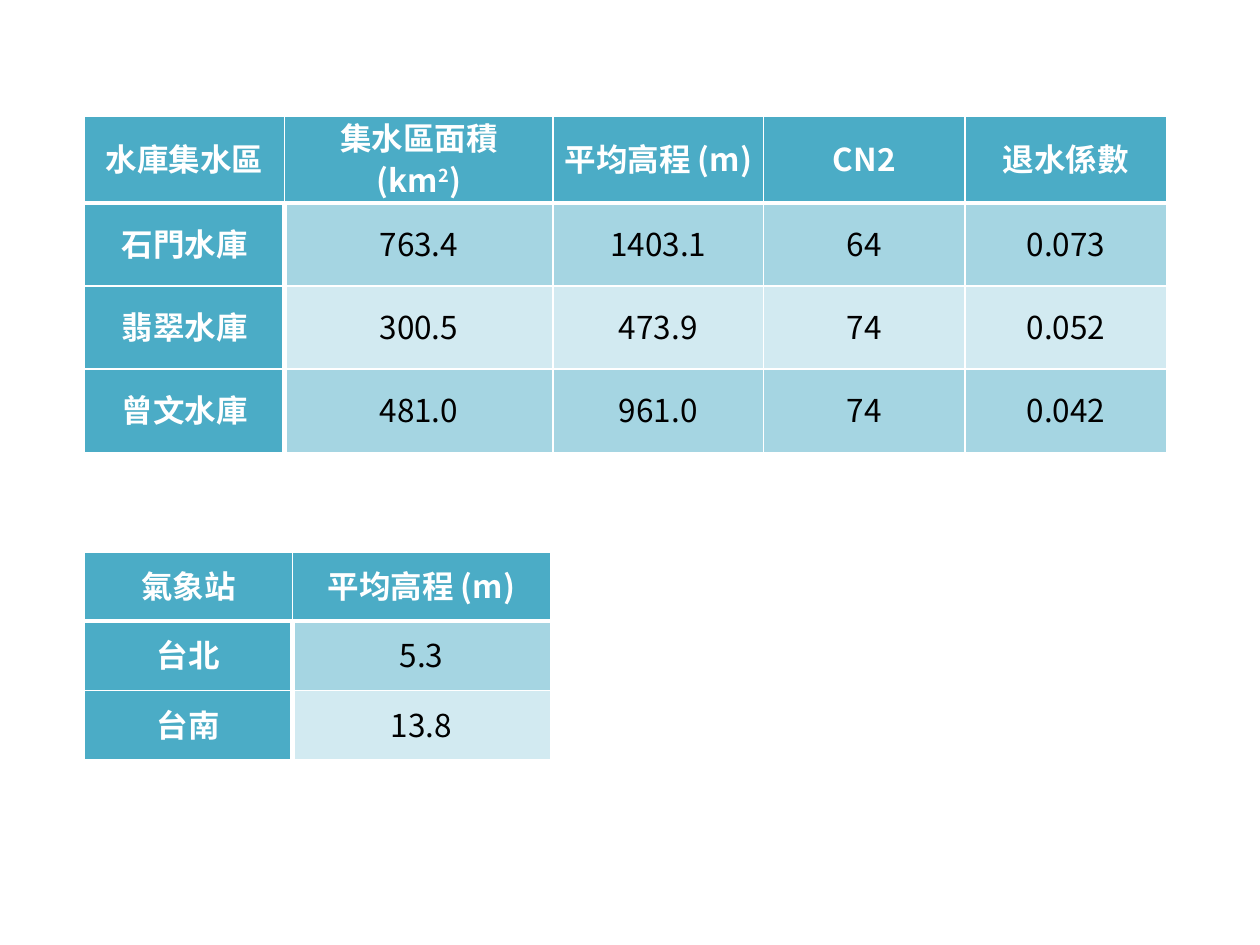
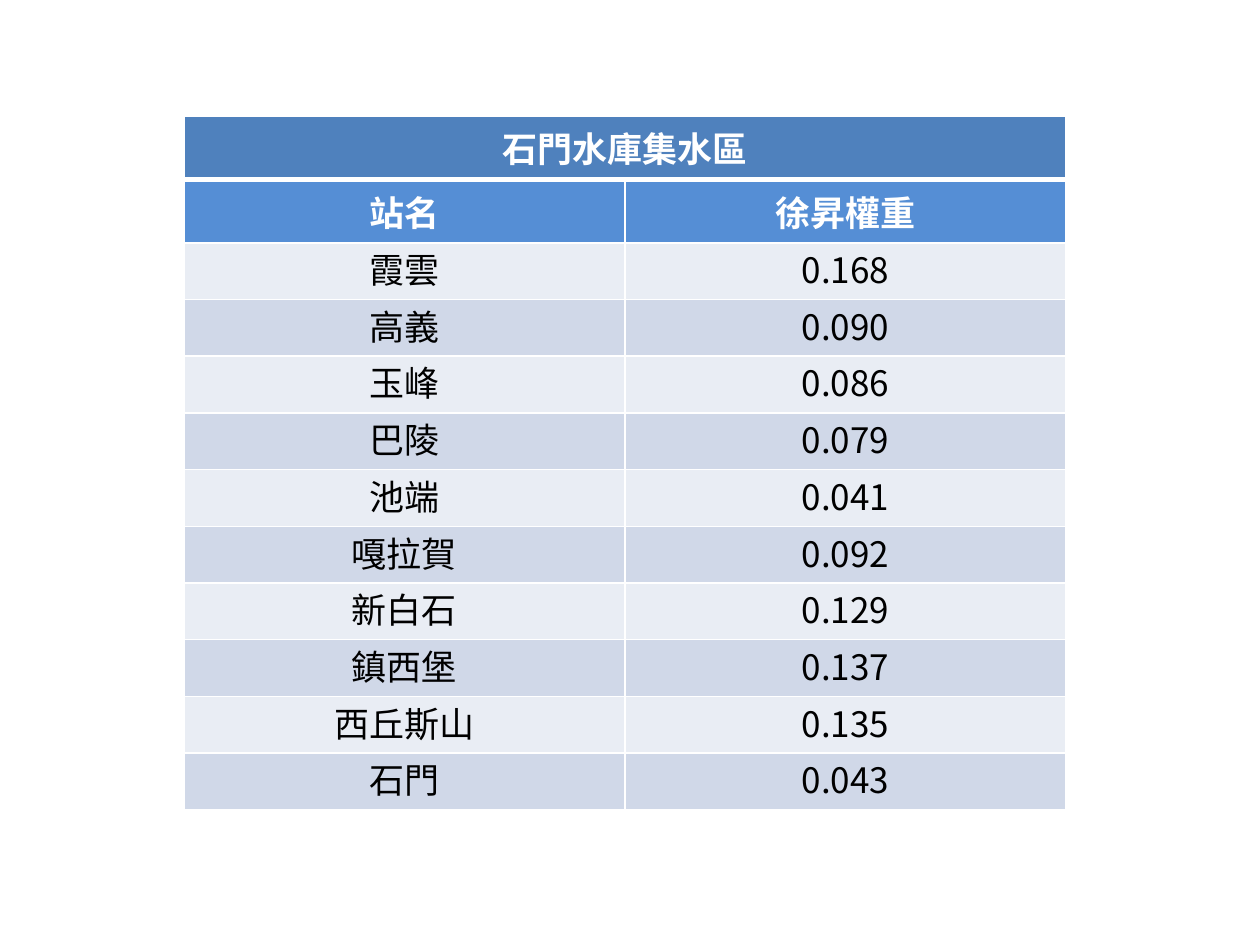
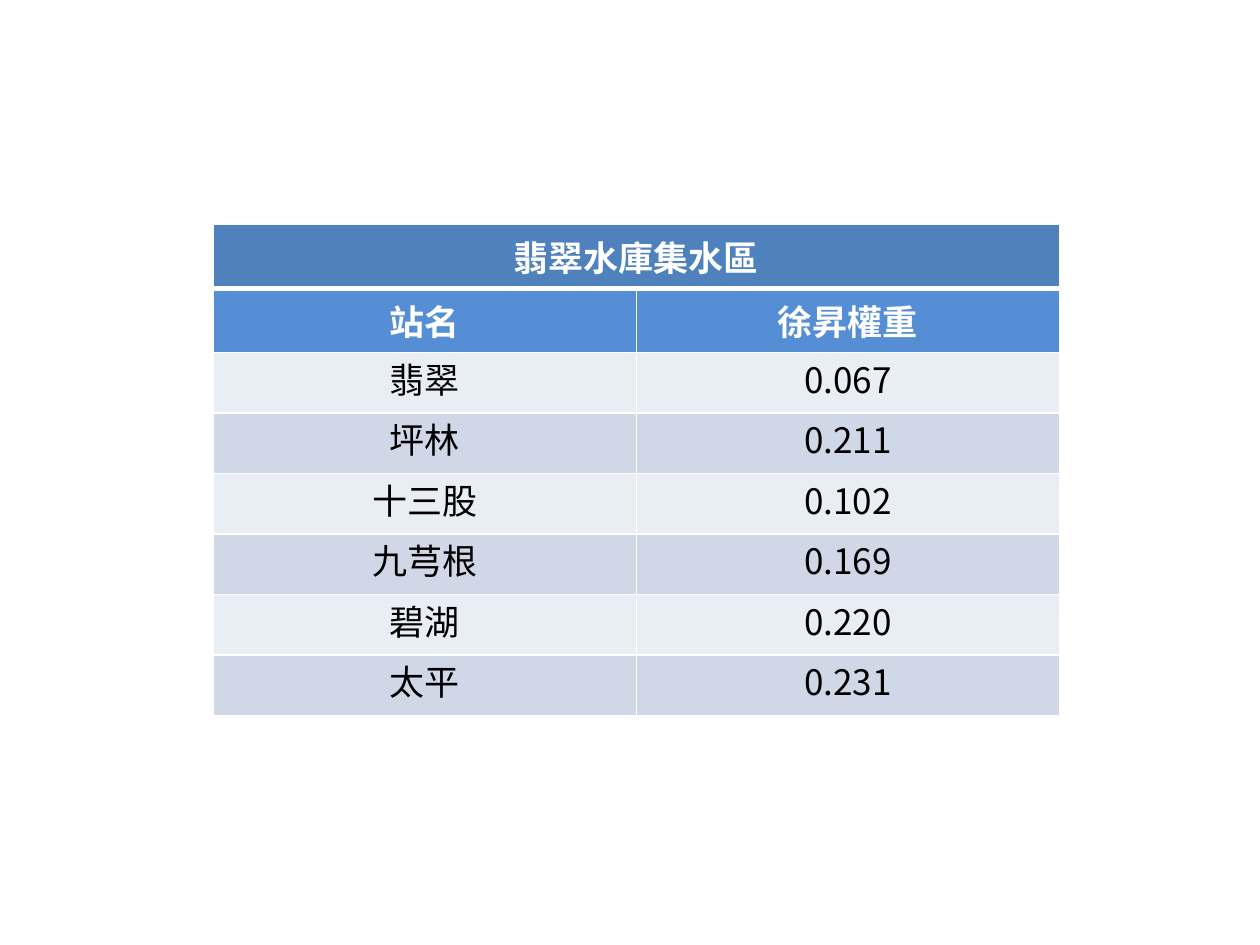
from dataclasses import dataclass
from lxml import etree
from pptx import Presentation
from pptx.dml.color import RGBColor
from pptx.enum.text import MSO_ANCHOR, PP_ALIGN
from pptx.oxml.ns import qn
from pptx.util import Inches, Pt

MID, TOP = MSO_ANCHOR.MIDDLE, MSO_ANCHOR.TOP
CENTER = PP_ALIGN.CENTER


@dataclass(frozen=True)
class Theme:
    font: str = "Noto Sans CJK SC"
    white: str = "FFFFFF"
    black: str = "000000"
    teal: str = "4BACC6"
    teals: tuple = ("A5D5E2", "D2EAF1")
    title: str = "4F81BD"
    head: str = "558ED5"
    blues: tuple = ("E9EDF4", "D0D8E8")
    small: int = 18
    large: int = 20
    thin: int = 1
    thick: int = 3


T = Theme()


def write(cell, text, size=T.small, strong=False, fill=T.white, lead=None,
          anchor=TOP, pad=(0.07, 0), thick=()):
    """Fill one table cell; a caret in the text encloses a superscript."""
    cell.margin_left = cell.margin_right = Inches(pad[0])
    cell.margin_top = cell.margin_bottom = Inches(pad[1])
    cell.vertical_anchor = anchor
    props = cell._tc.get_or_add_tcPr()
    for side in "LRTB":
        width = T.thick if side in thick else T.thin
        line = etree.SubElement(props, qn("a:ln" + side), w=str(Pt(width)))
        paint = etree.SubElement(line, qn("a:solidFill"))
        etree.SubElement(paint, qn("a:srgbClr"), val=T.white)
    cell.fill.solid()
    cell.fill.fore_color.rgb = RGBColor.from_string(fill)

    par = cell.text_frame.paragraphs[0]
    par.alignment = CENTER
    if lead:
        par.line_spacing = Pt(lead)
    for i, part in enumerate(text.split("^")):
        for j, piece in enumerate(part.split("\n")):
            if j:
                par.add_line_break()
            run = par.add_run()
            run.text = piece
            font = run.font
            font.name, font.size, font.bold = T.font, Pt(size), strong
            font.color.rgb = RGBColor.from_string(T.white if strong else T.black)
            rpr = font._element
            etree.SubElement(rpr, qn("a:ea"), typeface=T.font)
            if i % 2:
                rpr.set("baseline", "30000")


def grid(slide, left, top, cols, rows):
    """Add a table with the given column widths and row heights."""
    frame = slide.shapes.add_table(len(rows), len(cols), Inches(left), Inches(top),
                                   Inches(sum(cols)), Inches(sum(rows)))
    table = frame.table
    for col, width in zip(table.columns, cols):
        col.width = Inches(width)
    for row, height in zip(table.rows, rows):
        row.height = Inches(height)
    return table


deck = Presentation()
deck.slide_width, deck.slide_height = Inches(10), Inches(7.5)
blank = deck.slide_layouts[6]

# Slide 1: basins and weather stations
basins = [
    ("水庫集水區", "集水區面積\n(km^2^)", "平均高程 (m)", "CN2", "退水係數"),
    ("石門水庫", "763.4", "1403.1", "64", "0.073"),
    ("翡翠水庫", "300.5", "473.9", "74", "0.052"),
    ("曾文水庫", "481.0", "961.0", "74", "0.042"),
]
posts = [("氣象站", "平均高程 (m)"), ("台北", "5.3"), ("台南", "13.8")]

slide = deck.slides.add_slide(blank)
for data, top, cols, rows in (
    (basins, 0.92, (1.59, 2.13, 1.67, 1.6, 1.6), (0.69, 0.66, 0.66, 0.66)),
    (posts, 4.38, (1.65, 2.05), (0.55, 0.55, 0.55)),
):
    table = grid(slide, 0.67, top, cols, rows)
    for r, row in enumerate(data):
        for c, text in enumerate(row):
            strong = r == 0 or c == 0
            thick = {0: "B", 1: "T"}.get(r, "")
            if r:
                thick += {0: "R", 1: "L"}.get(c, "")
            write(table.cell(r, c), text, strong=strong, lead=24, anchor=MID,
                  fill=T.teal if strong else T.teals[(r - 1) % 2], thick=thick)

# Slides 2 and 3: station weights of each basin
shimen = [
    ("霞雲", "0.168"), ("高義", "0.090"), ("玉峰", "0.086"), ("巴陵", "0.079"),
    ("池端", "0.041"), ("嘎拉賀", "0.092"), ("新白石", "0.129"),
    ("鎮西堡", "0.137"), ("西丘斯山", "0.135"), ("石門", "0.043"),
]
feitsui = [
    ("翡翠", "0.067"), ("坪林", "0.211"), ("十三股", "0.102"),
    ("九芎根", "0.169"), ("碧湖", "0.220"), ("太平", "0.231"),
]
for name, data, left, top, width, high, low in (
    ("石門水庫集水區", shimen, 1.46, 0.92, 3.5, 0.5, 0.45),
    ("翡翠水庫集水區", feitsui, 1.69, 1.78, 3.36, 0.51, 0.48),
):
    slide = deck.slides.add_slide(blank)
    table = grid(slide, left, top, [width] * 2, [high] * 2 + [low] * len(data))
    table.cell(0, 0).merge(table.cell(0, 1))
    for c, text in enumerate((name, "")):
        write(table.cell(0, c), text, size=T.large, strong=True, fill=T.title,
              pad=(0.1, 0.05), thick="B")
    for c, text in enumerate(("站名", "徐昇權重")):
        write(table.cell(1, c), text, size=T.large, strong=True, fill=T.head,
              pad=(0.1, 0.05), thick="T")
    for r, row in enumerate(data):
        for c, text in enumerate(row):
            write(table.cell(r + 2, c), text, size=T.large, fill=T.blues[r % 2])

deck.save("out.pptx")
